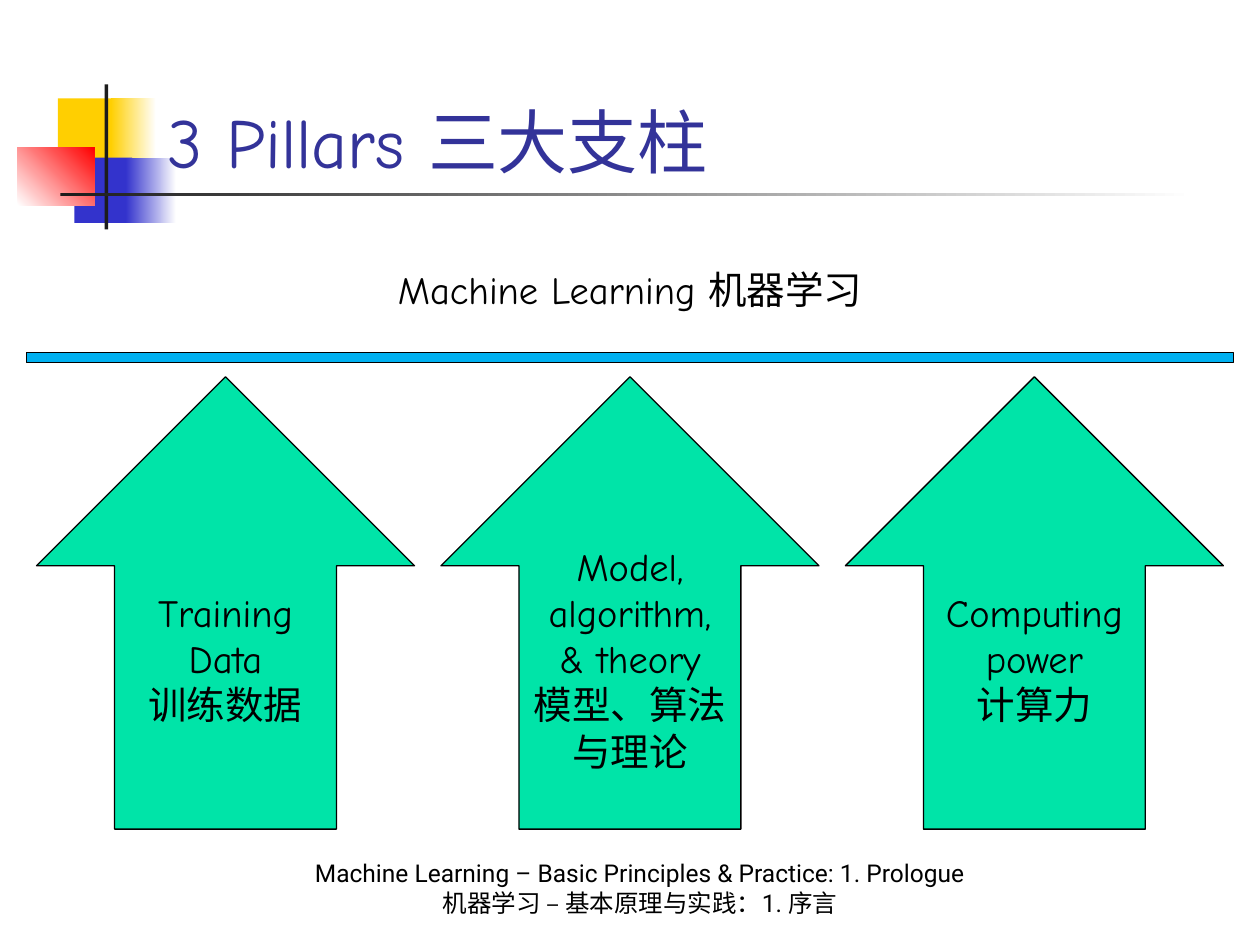
from pptx import Presentation
from pptx.dml.color import RGBColor
from pptx.enum.shapes import MSO_SHAPE as Shape
from pptx.enum.text import MSO_ANCHOR as Anchor, PP_ALIGN as Align
from pptx.util import Inches, Pt

HAND_FONT, PLAIN_FONT = "Comic Neue", "Roboto"
BLACK, WHITE, CHARCOAL = "000000", "FFFFFF", "1C1C1C"
YELLOW, BLUE, RED = "FFCF01", "3333CC", "FF0000"
TITLE_BLUE, GREEN, SKY = "333399", "00E4A8", "00B0F0"

# Pillar grid: equal columns, centred on the slide
SLIDE_WIDTH, SLIDE_HEIGHT = 10, 7.5
PILLAR_WIDTH, PILLAR_GAP = 3, 0.21
PILLAR_TOP, PILLAR_HEIGHT = 2.99, 3.59

PILLARS = [
    ("Training Data", "训练数据"),
    ("Model, algorithm, & theory", "模型、算法与理论"),
    ("Computing power", "计算力"),
]

# Corner ornament: left, top, width, height, colours, gradient angle
ORNAMENT = [
    (0.46, 0.78, 0.48, 0.52, [YELLOW], 0),
    (0.88, 0.78, 0.36, 0.52, [YELLOW, WHITE], 0),
    (0.59, 1.25, 0.46, 0.52, [BLUE], 0),
    (1.00, 1.25, 0.40, 0.52, [BLUE, WHITE], 0),
    (0.14, 1.17, 0.61, 0.46, [WHITE, RED], 45),
    (0.83, 0.67, 0.03, 1.15, [CHARCOAL], 0),
    (0.48, 1.53, 9.00, 0.03, [CHARCOAL, WHITE], 0),
]


def color(hex_string):
    return RGBColor.from_string(hex_string)


def write_text(shape, lines, *, size, font=HAND_FONT, fill=BLACK,
               align=Align.CENTER, anchor=Anchor.TOP):
    frame = shape.text_frame
    frame.word_wrap = True
    frame.vertical_anchor = anchor
    frame.text = "\n".join(lines)
    for paragraph in frame.paragraphs:
        paragraph.alignment = align
        paragraph.font.size = Pt(size)
        paragraph.font.name = font
        paragraph.font.color.rgb = color(fill)


def add_text(slide, box, lines, **text_format):
    textbox = slide.shapes.add_textbox(*map(Inches, box))
    write_text(textbox, lines, **text_format)


def add_block(slide, kind, box, colors, angle=0, outline=None):
    """Add a shape with a solid fill (one colour) or a gradient (two)."""
    shape = slide.shapes.add_shape(kind, *map(Inches, box))
    shape.shadow.inherit = False
    if len(colors) == 1:
        shape.fill.solid()
        shape.fill.fore_color.rgb = color(colors[0])
    else:
        shape.fill.gradient()
        shape.fill.gradient_angle = angle
        for stop, stop_color in zip(shape.fill.gradient_stops, colors):
            stop.color.rgb = color(stop_color)
    if outline:
        shape.line.color.rgb = color(outline)
        shape.line.width = Pt(0.75)
    else:
        shape.line.fill.background()
    return shape


def add_pillars(slide):
    count = len(PILLARS)
    total = count * PILLAR_WIDTH + (count - 1) * PILLAR_GAP
    start = (SLIDE_WIDTH - total) / 2
    for column, lines in enumerate(PILLARS):
        left = start + column * (PILLAR_WIDTH + PILLAR_GAP)
        box = (left, PILLAR_TOP, PILLAR_WIDTH, PILLAR_HEIGHT)
        arrow = add_block(slide, Shape.UP_ARROW, box, [GREEN], outline=BLACK)
        arrow.adjustments[0] = 0.587
        arrow.adjustments[1] = 0.5
        write_text(arrow, lines, size=22, anchor=Anchor.MIDDLE)


def main():
    presentation = Presentation()
    presentation.slide_width = Inches(SLIDE_WIDTH)
    presentation.slide_height = Inches(SLIDE_HEIGHT)
    slide = presentation.slides.add_slide(presentation.slide_layouts[6])

    # Ornament and title
    for *box, colors, angle in ORNAMENT:
        add_block(slide, Shape.RECTANGLE, box, colors, angle)
    add_text(slide, (1.23, 0.5, 8.52, 1), ["3 Pillars 三大支柱"], size=40,
             fill=TITLE_BLUE, align=Align.LEFT, anchor=Anchor.BOTTOM)

    # Pillars carrying the beam
    add_pillars(slide)
    add_block(slide, Shape.RECTANGLE, (0.21, 2.8, 9.58, 0.08), [SKY],
              outline=BLACK)
    add_text(slide, (1.79, 2.06, 6.42, 0.47), ["Machine Learning 机器学习"],
             size=22)

    # Footer
    add_text(slide, (0.83, 6.83, 8.5, 0.5),
             ["Machine Learning – Basic Principles & Practice: 1. Prologue",
              "机器学习 – 基本原理与实践：1. 序言"],
             size=14, font=PLAIN_FONT, anchor=Anchor.BOTTOM)

    presentation.save("out.pptx")


if __name__ == "__main__":
    main()
